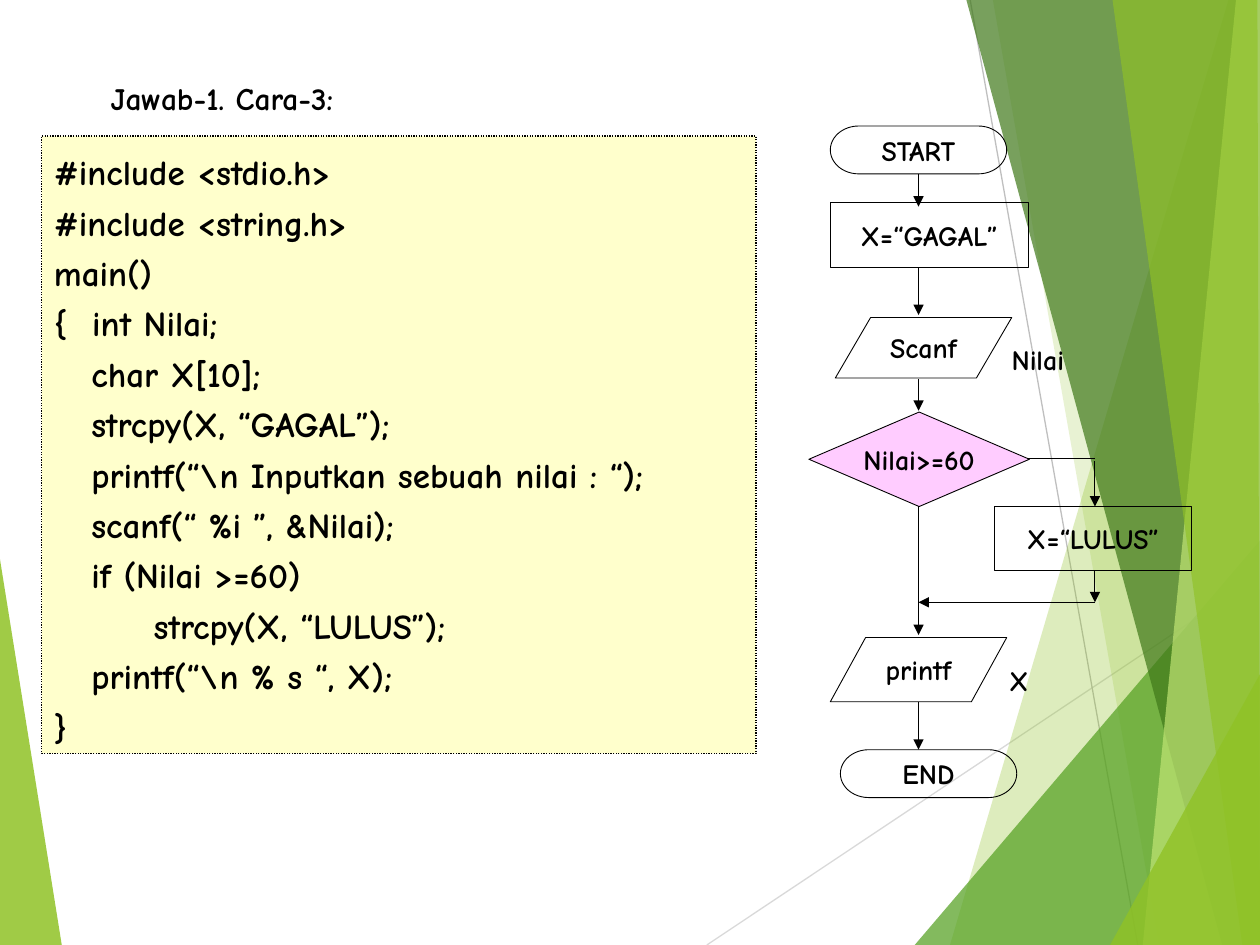
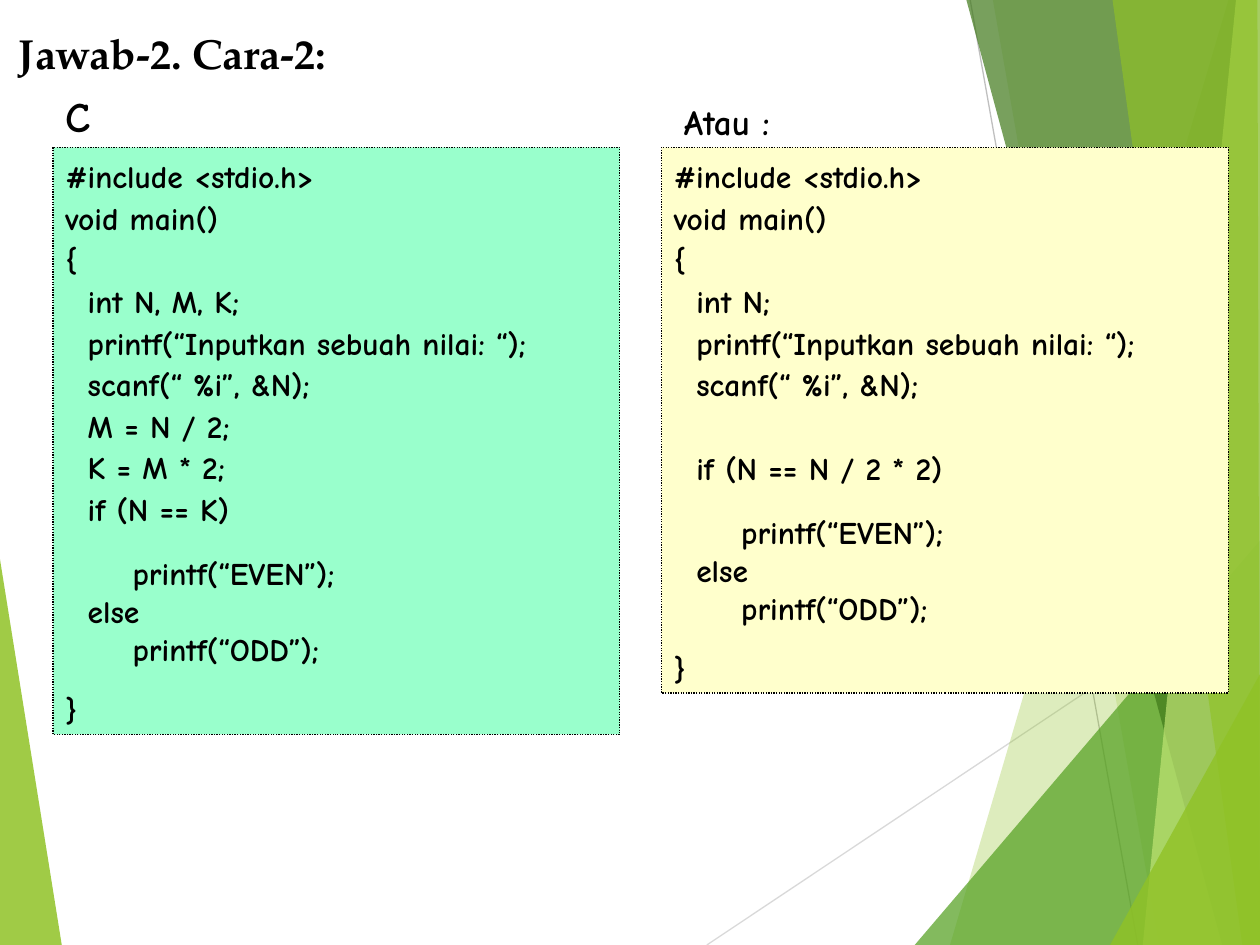
import lxml.etree
import pptx
import pptx.dml.color
import pptx.enum.dml
import pptx.enum.shapes
import pptx.enum.text
import pptx.oxml.ns
import pptx.util

EMU_PER_PX = 9144
PAGE_WIDTH, PAGE_HEIGHT = 1000, 750
HAND_FONT, TITLE_FONT = "Comic Neue", "TeX Gyre Pagella"
BLACK, CREAM, MINT, PINK = "000000", "FFFFCC", "99FFCC", "FFCCFF"
LEAF, GRASS, FOREST, LIME = "90C226", "54A021", "3F7819", "C0E474"
SHAPES = pptx.enum.shapes.MSO_SHAPE

LEFT_WEDGE = (LEAF, 85, [(0, 444), (49, 750), (0, 750)])
RIGHT_FACETS = [
    (LEAF, 30, [(975, 0), (754, 750), (1000, 750), (1000, 0)]),
    (LEAF, 20, [(788, 0), (920, 750), (1000, 750), (1000, 0)]),
    (GRASS, 72, [(726, 750), (1000, 429), (1000, 750)]),
    (FOREST, 70, [(767, 0), (970, 750), (1000, 750), (1000, 0)]),
    (LIME, 70, [(981, 0), (907, 750), (1000, 750), (1000, 0)]),
    (LEAF, 65, [(883, 0), (986, 750), (1000, 750), (998, 0)]),
    (LEAF, 80, [(881, 750), (1000, 535), (1000, 750)]),
]

GRADE_CODE = r"""#include <stdio.h>
#include <string.h>
main()
{  int Nilai;
   char X[10];
   strcpy(X, “GAGAL”);
   printf(“\n Inputkan sebuah nilai : “);
   scanf(“ %i ”, &Nilai);
   if (Nilai >=60)
        strcpy(X, “LULUS”);
   printf(“\n % s “, X);
}""".split("\n")

PARITY_START = ["#include <stdio.h>", "void main()", "{"]
PARITY_INPUT = ["  printf(“Inputkan sebuah nilai: “);", "  scanf(“ %i”, &N);"]
PARITY_END = [
    ("      printf(“EVEN”);", {"spacing": 1.7}),
    ("  else", {}),
    ("      printf(“ODD”);", {}),
    ("}", {"spacing": 1.6}),
]

FLOW_NODES = [
    (SHAPES.FLOWCHART_TERMINATOR, "START", (17, 0, 140, 38), None),
    (SHAPES.RECTANGLE, "X=“GAGAL”", (17, 61, 157, 51), None),
    (SHAPES.FLOWCHART_DATA, "Scanf", (21, 152, 140, 48), None),
    (SHAPES.FLOWCHART_DECISION, "Nilai>=60", (0, 227, 175, 75), PINK),
    (SHAPES.RECTANGLE, "X=“LULUS”", (147, 302, 157, 51), None),
    (SHAPES.FLOWCHART_DATA, "printf", (17, 406, 140, 51), None),
    (SHAPES.FLOWCHART_TERMINATOR, "END", (25, 495, 140, 38), None),
]
FLOW_LABELS = [("Nilai", (151, 167, 68, 37)), ("X", (149, 422, 38, 37))]
SPINE_X, BRANCH_X, MERGE_Y = 87, 227, 378
SPINE_STEPS = [(38, 64), (112, 150), (201, 226), (302, 404), (457, 495)]
BRANCH_STEPS = [(266, 302), (353, MERGE_Y)]


def px(length):
    """Turn px into EMU."""
    return pptx.util.Emu(length * EMU_PER_PX)


def color(value):
    """Turn a hex string into a colour."""
    return pptx.dml.color.RGBColor.from_string(value)


def add_element(parent, tag, **attributes):
    """Append a drawing element to a parent element."""
    return lxml.etree.SubElement(parent, pptx.oxml.ns.qn(tag), attributes)


def write(shape, text, font=HAND_FONT, size=16, align="LEFT", spacing=None, gap=None):
    """Add one formatted paragraph to a shape."""
    frame = shape.text_frame
    para = frame.paragraphs[0]
    if para.runs:
        para = frame.add_paragraph()
    para.alignment = getattr(pptx.enum.text.PP_ALIGN, align)
    if spacing:
        para.line_spacing = spacing
    if gap:
        para.space_before = pptx.util.Pt(gap)
    span = para.add_run()
    span.text = text
    span.font.name = font
    span.font.size = pptx.util.Pt(size)
    span.font.bold = True
    span.font.color.rgb = color(BLACK)


def add_label(page, text, box, **text_format):
    """Add a single line of text."""
    label = page.shapes.add_textbox(*map(px, box))
    label.text_frame.word_wrap = False
    write(label, text, **text_format)


def add_outlined(page, kind, box, fill, weight):
    """Add a preset shape with a black outline."""
    shape = page.shapes.add_shape(kind, *map(px, box))
    shape.shadow.inherit = False
    if fill:
        shape.fill.solid()
        shape.fill.fore_color.rgb = color(fill)
    else:
        shape.fill.background()
    shape.line.color.rgb = color(BLACK)
    shape.line.width = pptx.util.Pt(weight)
    return shape


def add_line(page, start, end, stroke=BLACK, weight=0.5, arrow=False):
    """Add a straight line, with an arrowhead at its end if asked."""
    straight = pptx.enum.shapes.MSO_CONNECTOR.STRAIGHT
    line = page.shapes.add_connector(straight, *map(px, (*start, *end)))
    line.line.color.rgb = color(stroke)
    line.line.width = pptx.util.Pt(weight)
    if arrow:
        add_element(line.line._get_or_add_ln(), "a:tailEnd", type="triangle")
    add_element(line._element.spPr, "a:effectLst")


def add_facet(page, fill, opacity, points):
    """Add a translucent polygon."""
    builder = page.shapes.build_freeform(*points[0], scale=EMU_PER_PX)
    builder.add_line_segments(points[1:], close=True)
    facet = builder.convert_to_shape()
    facet.shadow.inherit = False
    facet.fill.solid()
    facet.fill.fore_color.rgb = color(fill)
    facet.line.fill.background()
    tint = facet._element.spPr.find(".//" + pptx.oxml.ns.qn("a:srgbClr"))
    add_element(tint, "a:alpha", val=str(opacity * 1000))


def add_backdrop(page):
    """Draw the green facets and thin lines behind a slide."""
    add_facet(page, *LEFT_WEDGE)
    add_line(page, (561, PAGE_HEIGHT), (PAGE_WIDTH, 457), "D9D9D9", 0.75)
    add_line(page, (770, 0), (903, PAGE_HEIGHT), "BFBFBF", 0.75)
    for facet in RIGHT_FACETS:
        add_facet(page, *facet)


def add_code(page, box, fill, lines, size):
    """Add a dotted panel of code from pairs of text and format."""
    panel = add_outlined(page, SHAPES.RECTANGLE, box, fill, 0.75)
    panel.line.dash_style = pptx.enum.dml.MSO_LINE.ROUND_DOT
    panel.text_frame.word_wrap = True
    panel.text_frame.vertical_anchor = pptx.enum.text.MSO_ANCHOR.TOP
    for text, text_format in lines:
        write(panel, text, size=size, **text_format)


def add_flowchart(page, left, top):
    """Draw the grading flowchart from its top left corner."""
    def place(x, y, *size):
        """Shift a point or box to the flowchart's corner."""
        return (left + x, top + y, *size)

    for kind, text, box, fill in FLOW_NODES:
        node = add_outlined(page, kind, place(*box), fill, 0.5)
        node.text_frame.word_wrap = False
        node.text_frame.vertical_anchor = pptx.enum.text.MSO_ANCHOR.MIDDLE
        write(node, text, align="CENTER")
    for text, box in FLOW_LABELS:
        add_label(page, text, place(*box))
    for x, steps in ((SPINE_X, SPINE_STEPS), (BRANCH_X, BRANCH_STEPS)):
        for start, end in steps:
            add_line(page, place(x, start), place(x, end), arrow=True)
    add_line(page, place(174, 264), place(BRANCH_X, 264))
    add_line(page, place(BRANCH_X, MERGE_Y), place(SPINE_X, MERGE_Y), arrow=True)


def spaced(lines, spacing):
    """Pair each line of code with its line spacing."""
    return [(line, {"spacing": spacing}) for line in lines]


def build_grade_page(page):
    """Fill the slide with the grading code and its flowchart."""
    add_label(page, "Jawab-1. Cara-3:", (78, 58, 205, 40), size=18)
    add_code(page, (33, 108, 567, 490), CREAM, spaced(GRADE_CODE, 1.2), 20)
    add_flowchart(page, 642, 100)


def build_parity_page(page):
    """Fill the slide with the two versions of the parity code."""
    add_label(page, "Jawab-2. Cara-2:", (5, 17, 295, 50), font=TITLE_FONT, size=24)
    add_label(page, "C", (42, 67, 45, 50), size=24)
    add_label(page, "Atau :", (533, 75, 95, 44), size=20)
    steps = ["  M = N / 2;", "  K = M * 2;", "  if (N == K)"]
    long_code = PARITY_START + ["  int N, M, K;"] + PARITY_INPUT + steps
    short_code = PARITY_START + ["  int N;"] + PARITY_INPUT
    test = [("  if (N == N / 2 * 2)", {"spacing": 1.1, "gap": 24})]
    add_code(page, (42, 117, 450, 466), MINT, spaced(long_code, 1.1) + PARITY_END, 18)
    add_code(page, (525, 117, 450, 433), CREAM,
             spaced(short_code, 1.1) + test + PARITY_END, 18)


def main():
    """Build and save the deck."""
    deck = pptx.Presentation()
    deck.slide_width, deck.slide_height = px(PAGE_WIDTH), px(PAGE_HEIGHT)
    for build in (build_grade_page, build_parity_page):
        page = deck.slides.add_slide(deck.slide_layouts[6])
        add_backdrop(page)
        build(page)
    deck.save("out.pptx")


if __name__ == "__main__":
    main()
